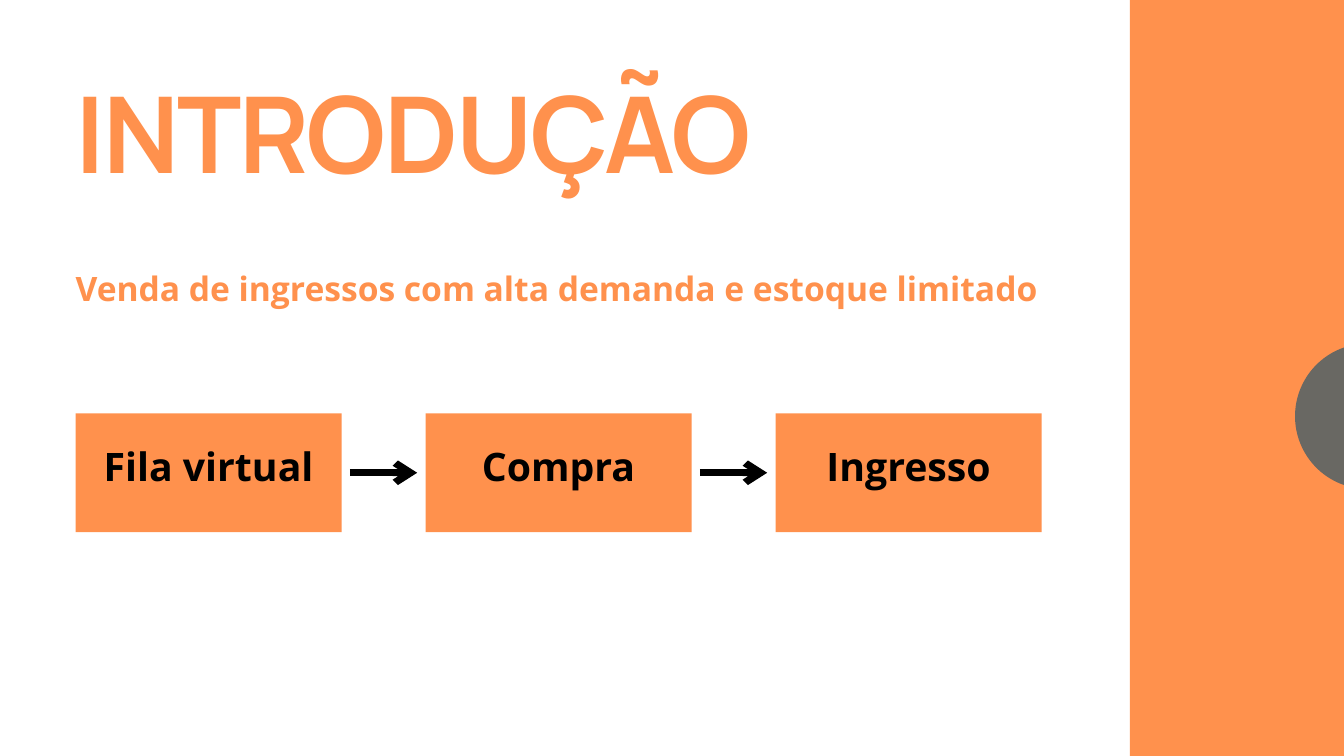
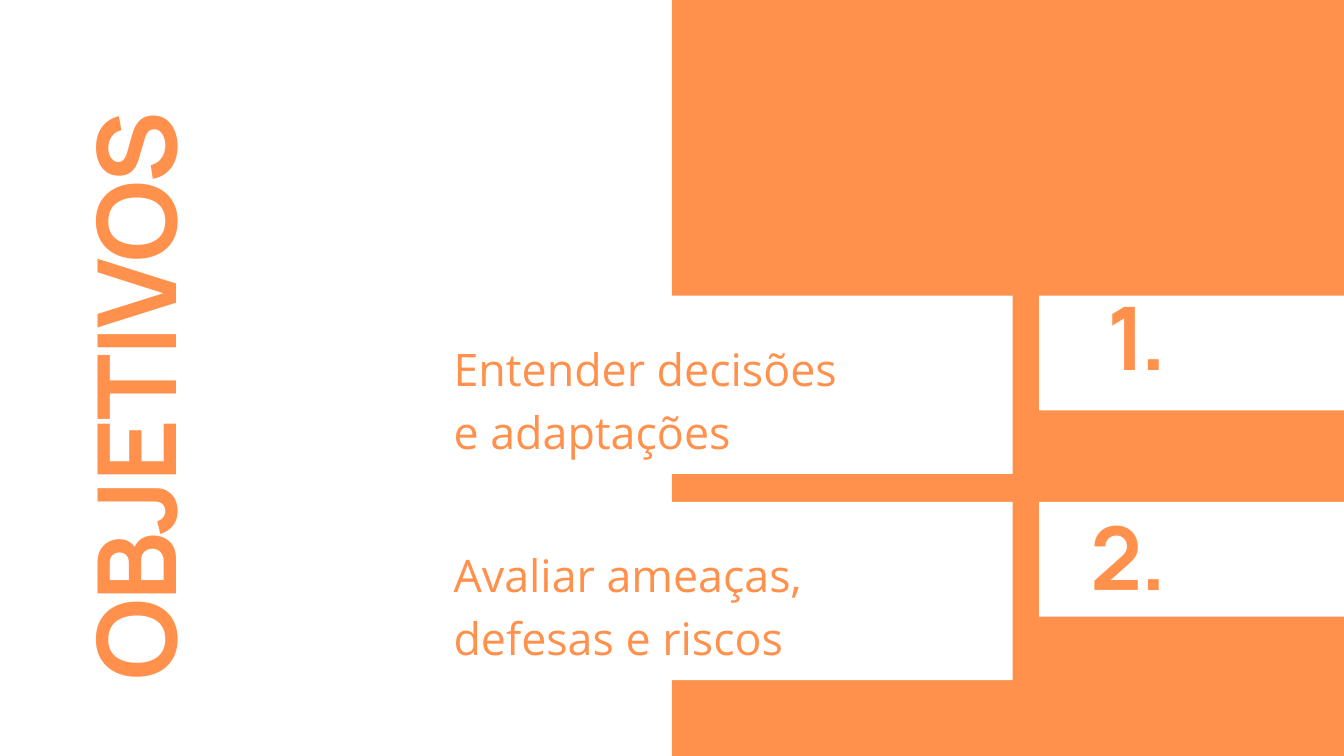
"""Build the introduction and objectives slides of a ticket sales talk."""
from dataclasses import dataclass
from typing import NamedTuple

from lxml import etree
from pptx import Presentation
from pptx.dml.color import RGBColor
from pptx.enum.shapes import MSO_CONNECTOR, MSO_SHAPE
from pptx.enum.text import MSO_ANCHOR, PP_ALIGN
from pptx.oxml.ns import qn
from pptx.presentation import Presentation as Deck
from pptx.shapes.autoshape import Shape
from pptx.slide import Slide
from pptx.text.text import TextFrame
from pptx.util import Pt

RECTANGLE, OVAL = MSO_SHAPE.RECTANGLE, MSO_SHAPE.OVAL
STRAIGHT = MSO_CONNECTOR.STRAIGHT
LEFT, CENTER, RIGHT = PP_ALIGN.LEFT, PP_ALIGN.CENTER, PP_ALIGN.RIGHT
TOP, MIDDLE = MSO_ANCHOR.TOP, MSO_ANCHOR.MIDDLE

COLORS = {"orange": "FF914D", "gray": "696863", "white": "FFFFFF", "black": "000000"}
HEADING_FONT, BODY_FONT = "Manrope", "Open Sans"
PAGE_WIDTH, PAGE_HEIGHT = 1440, 810
MARGIN = 81


class Frame(NamedTuple):
    """Position and size in points."""
    left: float
    top: float
    width: float
    height: float

    def lengths(self) -> list[Pt]:
        """Return the four values as lengths."""
        return [Pt(value) for value in self]


@dataclass(frozen=True)
class Objective:
    """One numbered goal and the offset of its number from the row top."""
    number: str
    text: str
    number_offset: float


STEPS = ("Fila virtual", "Compra", "Ingresso")
STEP_TOP, STEP_WIDTH, STEP_HEIGHT, STEP_PITCH = 442.8, 285, 127.5, 375
ARROW_GAP = 9
OBJECTIVES = (
    Objective("1.", "Entender decisões\ne adaptações", -1.4),
    Objective("2.", "Avaliar ameaças,\ndefesas e riscos", 13.7),
)
ROW_TOP, ROW_PITCH = 316.8, 221


def color(name: str) -> RGBColor:
    """Look up a named colour."""
    return RGBColor.from_string(COLORS[name])


def add_block(page: Slide, frame: Frame, fill: str, kind: MSO_SHAPE = RECTANGLE) -> Shape:
    """Draw a filled shape without outline."""
    block = page.shapes.add_shape(kind, *frame.lengths())
    block.shadow.inherit = False
    block.fill.solid()
    block.fill.fore_color.rgb = color(fill)
    block.line.fill.background()
    return block


def write(target: TextFrame, text: str, *, size: float, leading: float,
          font: str = BODY_FONT, ink: str = "orange", bold: bool = False,
          tracking: float = 0, align: PP_ALIGN = LEFT, anchor: MSO_ANCHOR = TOP,
          insets: tuple[float, float, float, float] = (0, 0, 0, 0)) -> None:
    """Fill a text frame with one paragraph for each line of text."""
    target.word_wrap = True
    target.vertical_anchor = anchor
    (target.margin_left, target.margin_top,
     target.margin_right, target.margin_bottom) = map(Pt, insets)
    for index, line in enumerate(text.split("\n")):
        para = target.add_paragraph() if index else target.paragraphs[0]
        para.alignment = align
        para.line_spacing = Pt(leading)
        span = para.add_run()
        span.text = line
        span.font.name = font
        span.font.size = Pt(size)
        span.font.bold = bold
        span.font.color.rgb = color(ink)
        if tracking:
            span._r.get_or_add_rPr().set("spc", str(round(tracking * 100)))


def add_text(page: Slide, frame: Frame, text: str, **style) -> Shape:
    """Add a text box written in the given format."""
    box = page.shapes.add_textbox(*frame.lengths())
    write(box.text_frame, text, **style)
    return box


def add_heading(page: Slide, frame: Frame, text: str, **style) -> Shape:
    """Add a text box in the bold, tight heading style."""
    return add_text(page, frame, text, font=HEADING_FONT, bold=True, **style)


def add_arrow(page: Slide, start: float, end: float, level: float) -> None:
    """Draw a horizontal arrow."""
    arrow = page.shapes.add_connector(STRAIGHT, Pt(start), Pt(level), Pt(end), Pt(level))
    arrow.line.color.rgb = color("black")
    arrow.line.width = Pt(7.5)
    properties = arrow._element.spPr
    etree.SubElement(properties.find(qn("a:ln")), qn("a:tailEnd"), type="arrow")
    etree.SubElement(properties, qn("a:effectLst"))


def add_page(deck: Deck, panel_left: float) -> Slide:
    """Add a white page with an orange panel up to its right edge."""
    page = deck.slides.add_slide(deck.slide_layouts[6])
    page.background.fill.solid()
    page.background.fill.fore_color.rgb = color("white")
    add_block(page, Frame(panel_left, 0, PAGE_WIDTH - panel_left, PAGE_HEIGHT), "orange")
    return page


def build_introduction(deck: Deck) -> None:
    """Build the slide with the three steps of a sale."""
    page = add_page(deck, 1210.5)
    add_block(page, Frame(1387.5, 368, 156, 156), "gray", OVAL)
    add_heading(page, Frame(MARGIN, 103, 1035, 114), "INTRODUÇÃO",
                size=113.5, leading=105.5, tracking=-2.3)
    add_text(page, Frame(MARGIN, 280, 1035, 48),
             "Venda de ingressos com alta demanda e estoque limitado",
             size=36, leading=50.4, bold=True)
    for index, step in enumerate(STEPS):
        left = MARGIN + index * STEP_PITCH
        box = add_block(page, Frame(left, STEP_TOP, STEP_WIDTH, STEP_HEIGHT), "orange")
        write(box.text_frame, step, size=42, leading=58.8, ink="black", bold=True,
              align=CENTER, anchor=MIDDLE, insets=(4, 4, 4, 27))
        if index:
            add_arrow(page, left - STEP_PITCH + STEP_WIDTH + ARROW_GAP, left - ARROW_GAP,
                      STEP_TOP + STEP_HEIGHT / 2)


def build_objectives(deck: Deck) -> None:
    """Build the slide with the numbered objectives."""
    page = add_page(deck, PAGE_WIDTH / 2)
    title = add_heading(page, Frame(-161.5, 347, 648, 116.5), "OBJETIVOS",
                        size=116.8, leading=108.6, tracking=-2.3)
    title.rotation = 270
    for index, objective in enumerate(OBJECTIVES):
        top = ROW_TOP + index * ROW_PITCH
        add_block(page, Frame(455, top, 630, 191), "white")
        add_block(page, Frame(1113.5, top, PAGE_WIDTH - 1113.5, 123), "white")
        add_text(page, Frame(486, top + 39.6, 560, 130), objective.text,
                 size=48, leading=67.2)
        add_heading(page, Frame(1152, top + objective.number_offset, 98.5, 104),
                    objective.number, size=93.9, leading=100.5, tracking=-1.9, align=RIGHT)


def main() -> None:
    """Build and save the deck."""
    deck = Presentation()
    deck.slide_width, deck.slide_height = Pt(PAGE_WIDTH), Pt(PAGE_HEIGHT)
    build_introduction(deck)
    build_objectives(deck)
    deck.save("out.pptx")


if __name__ == "__main__":
    main()
